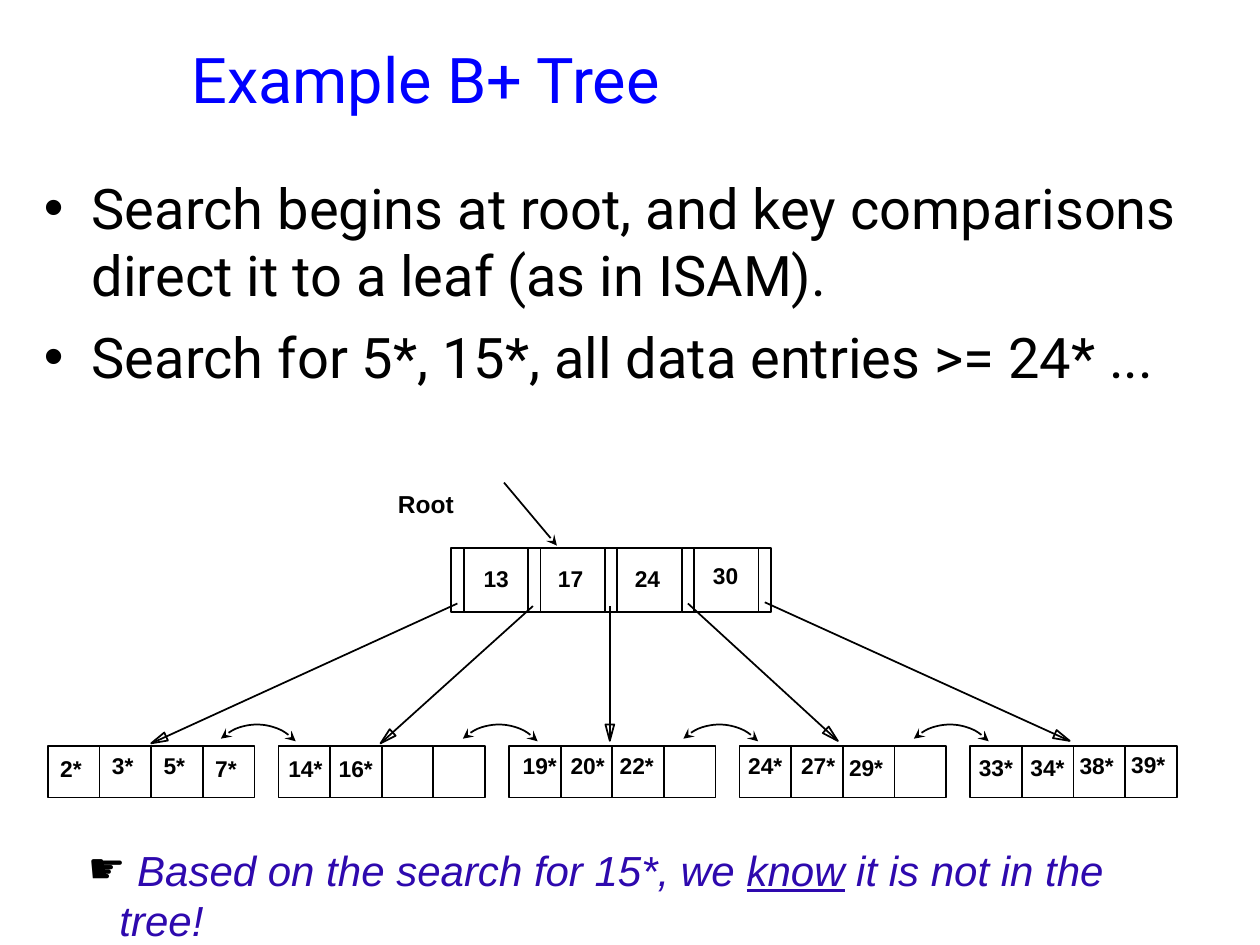
"""Builds a slide that shows searching in an example B+ tree."""
import math

from lxml import etree
from pptx import Presentation, util as u
from pptx.dml.color import RGBColor
from pptx.enum import shapes, text
from pptx.oxml import ns

BLACK = "000000"
LEAF_LEFT, LEAF_TOP, LEAF_STEP, LEAF_CELL = 0.38, 5.92, 1.83, 0.41
ROOT_LEFT, ROOT_TOP, ROOT_STEP, ROOT_HEIGHT, POINTER = 3.58, 4.35, 0.61, 0.51, 0.1

ROOT_KEYS = [("13", 3.74, 4.43), ("17", 4.33, 4.43), ("24", 4.94, 4.43), ("30", 5.56, 4.41)]
LEAF_ENTRIES = [
    ("2*", 0.38, 5.94), ("3*", 0.79, 5.92), ("5*", 1.2, 5.92), ("7*", 1.61, 5.94),
    ("14*", 2.19, 5.94), ("16*", 2.59, 5.94),
    ("19*", 4.05, 5.92), ("20*", 4.43, 5.92), ("22*", 4.82, 5.92),
    ("24*", 5.84, 5.92), ("27*", 6.26, 5.92), ("29*", 6.64, 5.93),
    ("33*", 7.67, 5.93), ("34*", 8.08, 5.93), ("38*", 8.47, 5.92), ("39*", 8.88, 5.91),
]
CHILD_POINTERS = [
    ((3.63, 4.79), (1.2, 5.9)),
    ((4.23, 4.81), (3.02, 5.9)),
    ((4.84, 4.81), (4.84, 5.88)),
    ((5.46, 4.79), (6.65, 5.88)),
    ((6.07, 4.78), (8.49, 5.88)),
]
SIBLING_CENTRES = [2.04, 3.96, 5.71, 7.54]


def colour(value):
    return RGBColor.from_string(value)


def inches(*values):
    return [u.Inches(value) for value in values]


class TreeSlide:
    def __init__(self, slide):
        self.slide = slide
        self.line_width = u.Pt(1)

    def outline(self, shape, head=None, tail=None):
        shape.line.color.rgb = colour(BLACK)
        shape.line.width = self.line_width
        line = shape.element.xpath(".//a:ln")[0]
        for tag, kind in (("a:headEnd", head), ("a:tailEnd", tail)):
            if kind:
                etree.SubElement(line, ns.qn(tag), type=kind)
        return shape

    def hollow(self, shape):
        shape.shadow.inherit = False
        shape.fill.background()
        return shape

    def cell(self, left, top, width, height):
        box = self.slide.shapes.add_shape(
            shapes.MSO_SHAPE.RECTANGLE, *inches(left, top, width, height))
        self.outline(self.hollow(box))

    def line(self, start, end, tail=None):
        link = self.slide.shapes.add_connector(
            shapes.MSO_CONNECTOR.STRAIGHT, *inches(*start, *end))
        self.outline(link, tail=tail)
        etree.SubElement(link.element.spPr, ns.qn("a:effectLst"))

    def child_pointer(self, start, end, length=0.13, half=0.035):
        self.line(start, end)
        angle = math.atan2(end[1] - start[1], end[0] - start[0])
        along, across = math.cos(angle), math.sin(angle)
        base = (end[0] - length * along, end[1] - length * across)
        corners = [(base[0] - side * across, base[1] + side * along) for side in (half, -half)]
        builder = self.slide.shapes.build_freeform(*inches(*end))
        builder.add_line_segments([inches(*corner) for corner in corners], close=True)
        self.outline(self.hollow(builder.convert_to_shape()))

    def sibling_link(self, centre, top=5.75, size=0.84):
        arc = self.slide.shapes.add_shape(
            shapes.MSO_SHAPE.ARC, *inches(centre - size / 2, top, size, size))
        arc.rotation = 317
        self.outline(self.hollow(arc), "stealth", "stealth")

    def text_box(self, place, paragraphs, size, font="Arial", fill=BLACK, bold=False, wrap=True):
        box = self.slide.shapes.add_textbox(*inches(*place))
        frame = box.text_frame
        frame.word_wrap = wrap
        frame.text = "\n".join(paragraphs)
        for para in frame.paragraphs:
            for span in para.runs:
                self.style(span, size, font, fill, bold)
        return frame

    def style(self, span, size, font, fill, bold=False):
        span.font.size = u.Pt(size)
        span.font.name = font
        span.font.bold = bold
        span.font.color.rgb = colour(fill)

    def bullet(self, para, mark, indent):
        props = para._p.get_or_add_pPr()
        props.set("marL", str(u.Inches(indent)))
        props.set("indent", str(u.Inches(-indent)))
        tint = etree.SubElement(props, ns.qn("a:buClr"))
        etree.SubElement(tint, ns.qn("a:srgbClr"), val=BLACK)
        etree.SubElement(props, ns.qn("a:buFont"), typeface="Arial")
        etree.SubElement(props, ns.qn("a:buChar"), char=mark)

    def label(self, words, left, top, width, size=13):
        self.text_box((left, top, width, 0.32), [words], size, bold=True, wrap=False)


def main():
    deck = Presentation()
    deck.slide_width, deck.slide_height = inches(10, 7.5)
    page = TreeSlide(deck.slides.add_slide(deck.slide_layouts[6]))

    title = page.text_box((1.42, 0, 7.83, 1.25), ["Example B+ Tree"], 36, "Roboto", "0000FF")
    title.vertical_anchor = text.MSO_ANCHOR.MIDDLE

    body = page.text_box((0.25, 1.33, 9.25, 5.58), [
        "Search begins at root, and key comparisons direct it to a leaf (as in ISAM).",
        "Search for 5*, 15*, all data entries >= 24* ...",
    ], 32, "Roboto")
    for para in body.paragraphs:
        para.space_before = u.Pt(8)
        page.bullet(para, "•", 0.38)

    note = page.text_box((0.6, 6.65, 8.9, 0.5), [" "], 24).paragraphs[0]
    page.bullet(note, "☛", 0.25)
    for words in ("Based on the search for 15*, we ", "know", " it is not in the tree!"):
        span = note.add_run()
        span.text = words
        page.style(span, 24, "Arial", "2E09AE")
        span.font.italic = True
        span.font.underline = words == "know"

    for index in range(4):
        left = ROOT_LEFT + index * ROOT_STEP
        page.cell(left, ROOT_TOP, ROOT_STEP, ROOT_HEIGHT)
        page.line((left + POINTER, ROOT_TOP), (left + POINTER, ROOT_TOP + ROOT_HEIGHT))
    page.cell(ROOT_LEFT + 4 * ROOT_STEP, ROOT_TOP, POINTER, ROOT_HEIGHT)

    for leaf in range(5):
        for slot in range(4):
            left = LEAF_LEFT + leaf * LEAF_STEP + slot * LEAF_CELL
            page.cell(left, LEAF_TOP, LEAF_CELL, LEAF_CELL)

    for start, end in CHILD_POINTERS:
        page.child_pointer(start, end)
    page.label("Root", 3.06, 3.83, 0.65, 14)
    for words, left, top in ROOT_KEYS:
        page.label(words, left, top, 0.4)
    for words, left, top in LEAF_ENTRIES:
        page.label(words, left, top, 0.37 if len(words) == 2 else 0.47)
    page.line((4, 3.83), (4.42, 4.33), "stealth")
    for centre in SIBLING_CENTRES:
        page.sibling_link(centre)

    deck.save("out.pptx")


if __name__ == "__main__":
    main()
